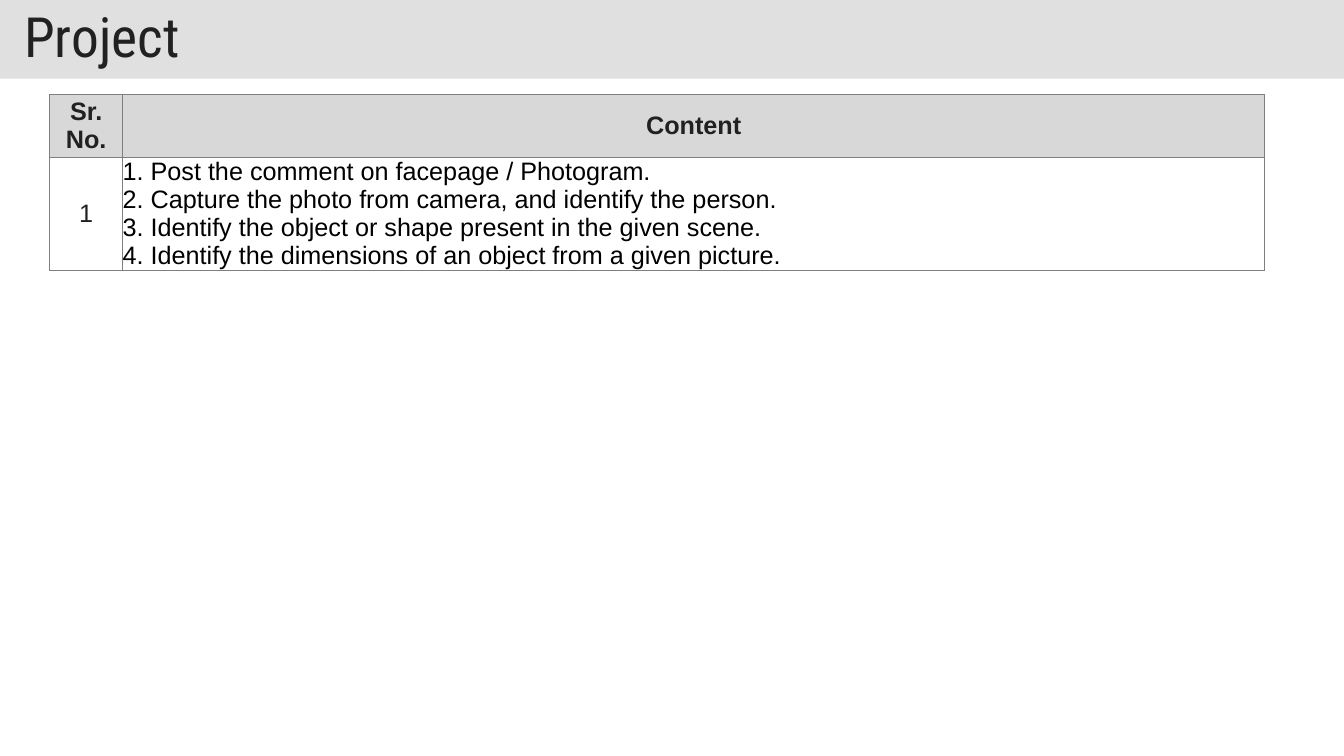
from dataclasses import dataclass

from lxml import etree
from pptx import Presentation
from pptx import util as u
from pptx.dml.color import RGBColor
from pptx.enum import text
from pptx.oxml import ns


@dataclass(frozen=True)
class Theme:
    ink: str = "212121"
    body_ink: str = "000000"
    banner: str = "C0C0C0"
    banner_opacity: int = 49
    header: str = "D8D8D8"
    border: str = "7F7F7F"
    border_width: float = 0.75
    title_font: str = "Roboto Condensed"
    body_font: str = "Arial"
    title_size: float = 39.6
    body_size: float = 18


@dataclass(frozen=True)
class Box:
    left: int
    top: int
    width: int
    height: int


THEME = Theme()
SLIDE_WIDTH, SLIDE_HEIGHT = u.Inches(13.33), u.Inches(7.5)
COLUMN_SHARES = (0.06, 0.94)
ROW_SHARES = (0.355, 0.645)
HEADINGS = ("Sr. No.", "Content")
PROJECTS = (
    "1. Post the comment on facepage / Photogram.",
    "2. Capture the photo from camera, and identify the person.",
    "3. Identify the object or shape present in the given scene.",
    "4. Identify the dimensions of an object from a given picture.",
)


def share_box(left, top, width, height):
    return Box(
        round(SLIDE_WIDTH * left),
        round(SLIDE_HEIGHT * top),
        round(SLIDE_WIDTH * width),
        round(SLIDE_HEIGHT * height),
    )


def write_text(frame, content, *, size=THEME.body_size, font=THEME.body_font,
               color=THEME.ink, bold=False, align=text.PP_ALIGN.CENTER, spacing=None):
    frame.text = content
    for paragraph in frame.paragraphs:
        paragraph.alignment = align
        paragraph.line_spacing = spacing
        for run in paragraph.runs:
            run.font.size = u.Pt(size)
            run.font.name = font
            run.font.bold = bold
            run.font.color.rgb = RGBColor.from_string(color)


def add_borders(cell):
    properties = cell._tc.get_or_add_tcPr()
    for index, side in enumerate(("lnL", "lnR", "lnT", "lnB")):
        line = etree.Element(ns.qn(f"a:{side}"), w=str(u.Pt(THEME.border_width)))
        fill = etree.SubElement(line, ns.qn("a:solidFill"))
        etree.SubElement(fill, ns.qn("a:srgbClr"), val=THEME.border)
        properties.insert(index, line)


def format_cell(cell, content, fill=None, **text_format):
    cell.margin_left = cell.margin_right = cell.margin_top = cell.margin_bottom = 0
    cell.vertical_anchor = text.MSO_ANCHOR.MIDDLE
    if fill:
        cell.fill.solid()
        cell.fill.fore_color.rgb = RGBColor.from_string(fill)
    else:
        cell.fill.background()
    add_borders(cell)
    write_text(cell.text_frame, content, **text_format)


def place_title(slide, box, content):
    title = slide.shapes.title
    title.left, title.top, title.width, title.height = box.left, box.top, box.width, box.height
    title.fill.solid()
    title.fill.fore_color.rgb = RGBColor.from_string(THEME.banner)
    color = title.fill._xPr.find(f".//{ns.qn('a:srgbClr')}")
    etree.SubElement(color, ns.qn("a:alpha"), val=str(THEME.banner_opacity * 1000))
    frame = title.text_frame
    frame.margin_left = frame.margin_right = u.Inches(0.24)
    frame.margin_top = frame.margin_bottom = u.Inches(0.12)
    frame.vertical_anchor = text.MSO_ANCHOR.MIDDLE
    frame.auto_size = text.MSO_AUTO_SIZE.NONE
    write_text(frame, content, size=THEME.title_size, font=THEME.title_font,
               align=text.PP_ALIGN.LEFT, spacing=0.9)


def place_project_table(slide, box):
    table = slide.shapes.add_table(
        len(ROW_SHARES), len(COLUMN_SHARES), box.left, box.top, box.width, box.height
    ).table
    table.first_row = table.horz_banding = False
    for column, share in zip(table.columns, COLUMN_SHARES):
        column.width = round(box.width * share)
    for row, share in zip(table.rows, ROW_SHARES):
        row.height = round(box.height * share)
    for index, heading in enumerate(HEADINGS):
        format_cell(table.cell(0, index), heading, fill=THEME.header, bold=True)
    format_cell(table.cell(1, 0), "1")
    format_cell(table.cell(1, 1), "\n".join(PROJECTS), color=THEME.body_ink,
                align=text.PP_ALIGN.JUSTIFY)


def main():
    presentation = Presentation()
    presentation.slide_width, presentation.slide_height = SLIDE_WIDTH, SLIDE_HEIGHT
    slide = presentation.slides.add_slide(presentation.slide_layouts.get_by_name("Title Only"))
    place_title(slide, share_box(0, 0, 1, 0.104), "Project")
    place_project_table(slide, share_box(0.037, 0.125, 0.904, 0.233))
    presentation.save("out.pptx")


if __name__ == "__main__":
    main()
